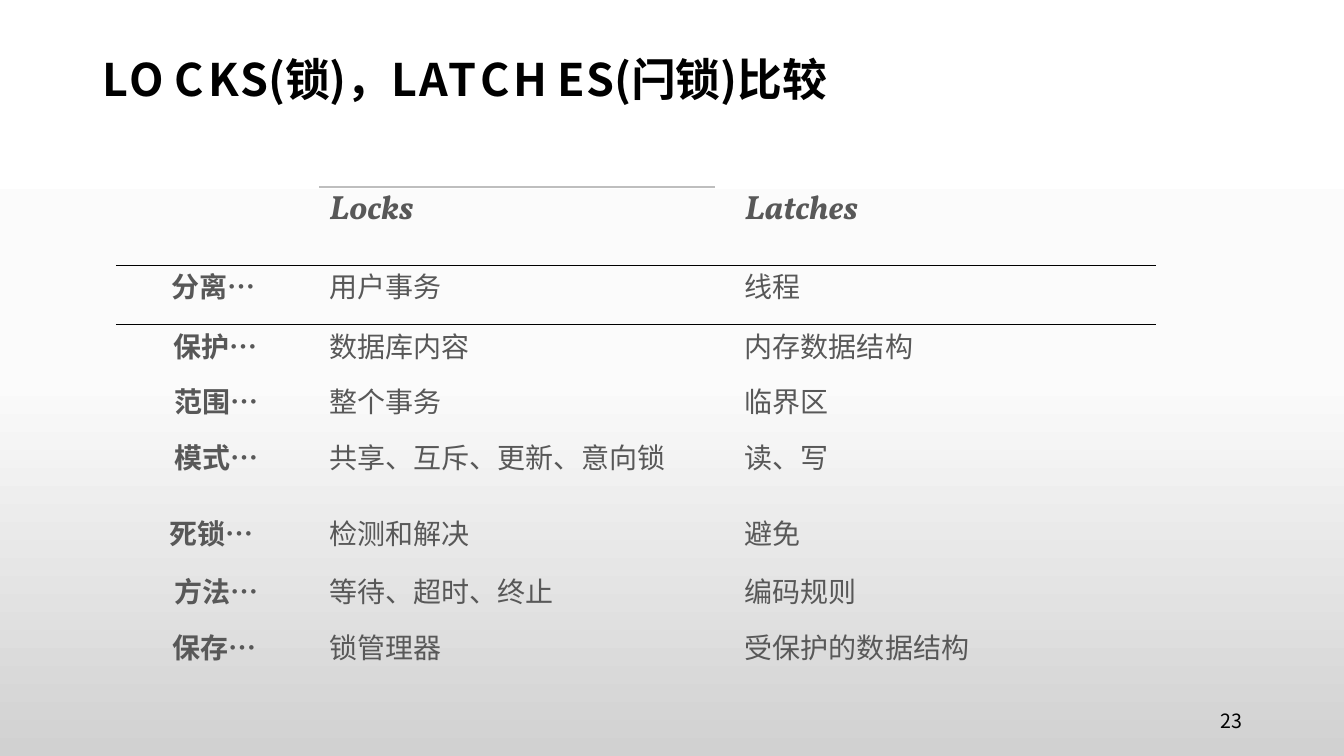
"""Build a slide that compares database locks with latches in a table."""
from copy import deepcopy

from lxml import etree
from pptx import Presentation
from pptx.dml import color
from pptx.enum import text as t
from pptx.oxml import ns
from pptx.util import Cm, Pt

BLACK = color.RGBColor(0x00, 0x00, 0x00)
GREY = color.RGBColor(0x58, 0x58, 0x58)
RULE_GREY = color.RGBColor(0xBE, 0xBE, 0xBE)
BACKGROUND = [
    (0, color.RGBColor(0xFF, 0xFF, 0xFF)),
    (0.5, color.RGBColor(0xFB, 0xFB, 0xFB)),
    (1, color.RGBColor(0xD1, 0xD1, 0xD1)),
]
HAN = "Noto Sans CJK SC"
SERIF = "Vollkorn"
NO_GRID = "{2D5ABB26-0587-4C30-8999-92F81FD0307C}"

TITLE = [
    ("L", 0.8), ("O ", 0.1), ("C", 2.7), ("K", 0.9), ("S(锁)，", 0),
    ("L", 1.6), ("A", -0.3), ("T", 2.6), ("C", 2.8), ("H ", 0),
    ("E", 0.6), ("S(闩锁)比较", 0),
]
PAGE = "23"
HEADINGS = ["", "Locks", "Latches"]
ASPECTS = [
    ("分离…", "用户事务", "线程"),
    ("保护…", "数据库内容", "内存数据结构"),
    ("范围…", "整个事务", "临界区"),
    ("模式…", "共享、互斥、更新、意向锁", "读、写"),
    ("死锁…", "检测和解决", "避免"),
    ("方法…", "等待、超时、终止", "编码规则"),
    ("保存…", "锁管理器", "受保护的数据结构"),
]
ASPECT_INDENTS = [0, 1.4, 1.45, 1.47, 1.47, 1.35, 1.47, 1.42]
VALUE_INDENTS = [0.25, 0.74]
COLUMN_WIDTHS = [5.13, 9.98, 11.1]
ROW_HEIGHTS = [1.96, 1.5, 1.4, 1.4, 1.93, 1.45, 1.42, 1.37]


def write(paragraph, words, size=20, font=HAN, ink=GREY, bold=False,
          italic=False, spacing=0):
    """Add one formatted run to a paragraph."""
    run = paragraph.add_run()
    run.text = words
    run.font.size = Pt(size)
    run.font.name = font
    run.font.bold = bold
    run.font.italic = italic
    run.font.color.rgb = ink
    properties = run.font._element
    properties.set("spc", str(round(spacing * 100)))
    etree.SubElement(properties, ns.qn("a:ea")).set("typeface", HAN)


def rule(cell, side, ink=BLACK, width=1):
    """Draw a border along one side of a cell."""
    line = etree.SubElement(cell._tc.get_or_add_tcPr(), ns.qn(f"a:ln{side}"))
    line.set("w", str(Pt(width)))
    fill = etree.SubElement(line, ns.qn("a:solidFill"))
    etree.SubElement(fill, ns.qn("a:srgbClr")).set("val", str(ink))


def paint_background(slide):
    """Fill the slide background with a vertical gradient."""
    fill = slide.background.fill
    fill.gradient()
    fill.gradient_angle = 270
    stops = slide.element.find(".//" + ns.qn("a:gsLst"))
    stops.append(deepcopy(stops[-1]))
    for stop, (position, ink) in zip(fill.gradient_stops, BACKGROUND):
        stop.position = position
        stop.color.rgb = ink


def add_title(slide):
    """Fill and place the title."""
    title = slide.shapes.title
    title.left, title.top, title.width, title.height = (
        Cm(2.34), Cm(1.02), Cm(29.21), Cm(2.11))
    frame = title.text_frame
    frame.auto_size = t.MSO_AUTO_SIZE.NONE
    frame.vertical_anchor = t.MSO_ANCHOR.MIDDLE
    heading = frame.paragraphs[0]
    heading.alignment = t.PP_ALIGN.LEFT
    heading.line_spacing = 0.9
    for letters, spacing in TITLE:
        write(heading, letters, size=32, ink=BLACK, bold=True, spacing=spacing)


def add_page_number(slide):
    """Place the page number at the lower right."""
    frame = slide.shapes.add_textbox(
        Cm(23.93), Cm(17.65), Cm(7.62), Cm(1.02)).text_frame
    frame.word_wrap = True
    frame.vertical_anchor = t.MSO_ANCHOR.MIDDLE
    number = frame.paragraphs[0]
    number.alignment = t.PP_ALIGN.RIGHT
    write(number, PAGE, size=14, ink=BLACK)


def add_comparison(slide):
    """Add the comparison table."""
    rows = [HEADINGS, *ASPECTS]
    comparison = slide.shapes.add_table(
        len(rows), len(HEADINGS), Cm(2.92), Cm(4.72),
        Cm(sum(COLUMN_WIDTHS)), Cm(sum(ROW_HEIGHTS))).table
    comparison.first_row = comparison.horz_banding = False
    comparison._tbl.find(".//" + ns.qn("a:tableStyleId")).text = NO_GRID
    for column, width in zip(comparison.columns, COLUMN_WIDTHS):
        column.width = Cm(width)
    for r, (entries, height) in enumerate(zip(rows, ROW_HEIGHTS)):
        comparison.rows[r].height = Cm(height)
        indents = [ASPECT_INDENTS[r], *VALUE_INDENTS]
        for c, (entry, indent) in enumerate(zip(entries, indents)):
            cell = comparison.cell(r, c)
            cell.margin_left = cell.margin_right = 0
            cell.margin_top = cell.margin_bottom = 0
            if entry == "Locks":
                rule(cell, "T", RULE_GREY, 1.44)
            if r < 2:
                rule(cell, "B")
            cell.fill.background()
            if entry:
                paragraph = cell.text_frame.paragraphs[0]
                paragraph._p.get_or_add_pPr().set("marL", str(Cm(indent)))
                write(paragraph, entry, size=20 if r else 24,
                      font=SERIF if c else "Calibri",
                      bold=r == 0 or c == 0, italic=r == 0)


def main():
    """Build and save the slide."""
    deck = Presentation()
    deck.slide_width, deck.slide_height = Cm(33.87), Cm(19.05)
    slide = deck.slides.add_slide(deck.slide_layouts[5])
    paint_background(slide)
    add_title(slide)
    add_page_number(slide)
    add_comparison(slide)
    deck.save("out.pptx")


if __name__ == "__main__":
    main()
